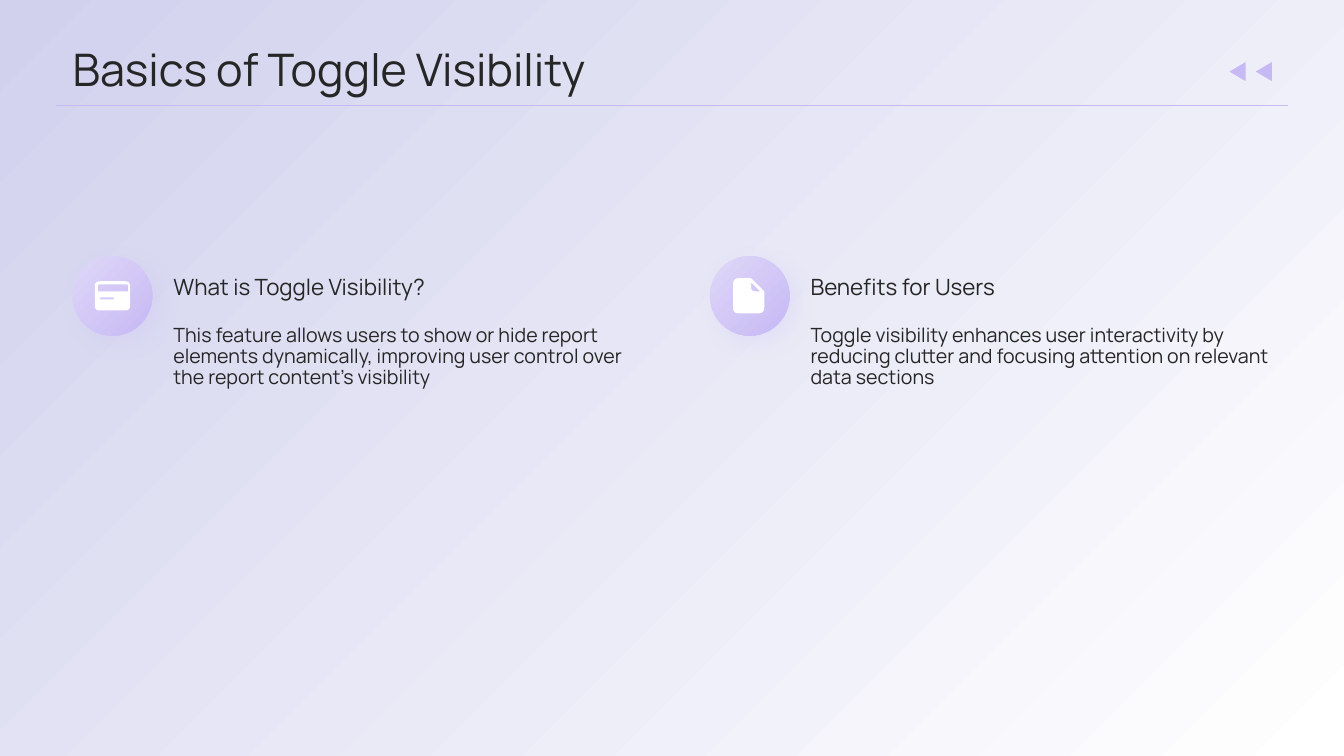
from lxml import etree
from pptx import Presentation
from pptx.dml.color import RGBColor
from pptx.enum.shapes import MSO_CONNECTOR, MSO_SHAPE
from pptx.enum.text import MSO_ANCHOR, MSO_AUTO_SIZE, PP_ALIGN
from pptx.oxml import parse_xml
from pptx.oxml.ns import nsdecls, qn
from pptx.util import Inches, Pt

STRAIGHT = MSO_CONNECTOR.STRAIGHT
RECTANGLE, OVAL, TRIANGLE = MSO_SHAPE.RECTANGLE, MSO_SHAPE.OVAL, MSO_SHAPE.ISOSCELES_TRIANGLE
TOP, MIDDLE = MSO_ANCHOR.TOP, MSO_ANCHOR.MIDDLE
NO_AUTOFIT, LEFT = MSO_AUTO_SIZE.NONE, PP_ALIGN.LEFT

FONT = "Manrope"
INK, WHITE, LAVENDER = "262626", "FFFFFF", "C7B9F4"
PALE_LAVENDER, PERIWINKLE = "DDD5F8", "D1D1EE"
UNITS_PER_INCH = 1000
SLIDE_WIDTH, SLIDE_HEIGHT = 13.33, 7.5

CARD_ICON = [
    [(0, 0, 0.05), (0.35, 0, 0.05), (0.35, 0.29, 0.05), (0, 0.29, 0.05)],
    [(0.03, 0.1, 0), (0.33, 0.1, 0), (0.33, 0.03, 0.02), (0.03, 0.03, 0.02)],
    [(0.05, 0.18, 0.01), (0.19, 0.18, 0.01), (0.19, 0.16, 0.01), (0.05, 0.16, 0.01)],
]
PAGE_ICON = [
    [(0, 0, 0.06), (0.18, 0, 0.01), (0.31, 0.13, 0.01), (0.31, 0.35, 0.06), (0, 0.35, 0.06)],
    [(0.18, 0.04, 0), (0.18, 0.13, 0.04), (0.27, 0.13, 0)],
]
TOPICS = [
    ("What is Toggle Visibility?",
     "This feature allows users to show or hide report elements dynamically, "
     "improving user control over the report content's visibility",
     CARD_ICON, (0.22, 0.25)),
    ("Benefits for Users",
     "Toggle visibility enhances user interactivity by reducing clutter "
     "and focusing attention on relevant data sections",
     PAGE_ICON, (0.23, 0.22)),
]


def color(hex_string):
    """Turn a hex string into a colour."""
    return RGBColor.from_string(hex_string)


def add_plain_shape(slide, kind, left, top, width, height, fill=None):
    """Add a shape without outline or shadow."""
    shape = slide.shapes.add_shape(kind, Inches(left), Inches(top), Inches(width), Inches(height))
    shape.shadow.inherit = False
    shape.line.fill.background()
    if fill:
        shape.fill.solid()
        shape.fill.fore_color.rgb = color(fill)
    return shape


def fill_diagonal(shape, stops):
    """Fill a shape with a gradient running from top left to bottom right."""
    shape.fill.gradient()
    shape.fill.gradient_angle = 315
    for stop, (position, hex_string) in zip(shape.fill.gradient_stops, stops):
        stop.position = position
        stop.color.rgb = color(hex_string)


def add_glow(shape):
    """Give a shape a soft lavender shadow."""
    effects = shape.element.spPr.find(qn("a:effectLst"))
    effects.append(parse_xml(
        f'<a:outerShdw {nsdecls("a")} blurRad="{Pt(15)}" dist="{Pt(8)}" dir="2700000" '
        f'algn="tl" rotWithShape="0"><a:srgbClr val="{LAVENDER}">'
        '<a:alpha val="20000"/></a:srgbClr></a:outerShdw>'))


def write_text(shape, text, size, anchor):
    """Write one left-aligned run into a shape without margins."""
    frame = shape.text_frame
    frame.word_wrap = True
    frame.auto_size = NO_AUTOFIT
    frame.vertical_anchor = anchor
    frame.margin_left = frame.margin_right = frame.margin_top = frame.margin_bottom = 0
    paragraph = frame.paragraphs[0]
    paragraph.alignment = LEFT
    paragraph.line_spacing = 0.9
    paragraph.space_before = Pt(0)
    run = paragraph.add_run()
    run.text = text
    run.font.name = FONT
    run.font.size = Pt(size)
    run.font.color.rgb = color(INK)


def add_text(slide, left, top, width, height, text, size, anchor):
    """Add a text box."""
    box = slide.shapes.add_textbox(Inches(left), Inches(top), Inches(width), Inches(height))
    write_text(box, text, size, anchor)


def round_corners(corners, steps=6):
    """Return the outline through corners given as x, y and radius."""
    points = []
    for index, (x, y, radius) in enumerate(corners):
        if not radius:
            points.append((x, y))
            continue
        ends = []
        for other_x, other_y, _ in (corners[index - 1], corners[(index + 1) % len(corners)]):
            length = ((other_x - x) ** 2 + (other_y - y) ** 2) ** 0.5
            ends.append((x + (other_x - x) * radius / length, y + (other_y - y) * radius / length))
        (start_x, start_y), (end_x, end_y) = ends
        for step in range(steps + 1):
            t = step / steps
            before, middle, after = (1 - t) ** 2, 2 * t * (1 - t), t ** 2
            points.append((before * start_x + middle * x + after * end_x,
                           before * start_y + middle * y + after * end_y))
    return points


def add_icon(slide, left, top, outlines):
    """Draw a white icon whose inner outlines are holes."""
    contours = [[((left + x) * UNITS_PER_INCH, (top + y) * UNITS_PER_INCH)
                 for x, y in round_corners(outline)] for outline in outlines]
    builder = slide.shapes.build_freeform(*contours[0][0], scale=Inches(1) / UNITS_PER_INCH)
    builder.add_line_segments(contours[0][1:])
    for contour in contours[1:]:
        builder.move_to(*contour[0])
        builder.add_line_segments(contour[1:])
    icon = builder.convert_to_shape()
    icon.shadow.inherit = False
    icon.fill.solid()
    icon.fill.fore_color.rgb = color(WHITE)
    icon.line.fill.background()


def add_background(slide):
    """Lay a diagonal gradient behind the title."""
    backdrop = add_plain_shape(slide, RECTANGLE, 0, 0, SLIDE_WIDTH, SLIDE_HEIGHT)
    fill_diagonal(backdrop, [(0, PERIWINKLE), (1, WHITE)])
    slide.shapes.title.element.addprevious(backdrop.element)


def add_header(slide, left, top, width, height):
    """Place the title, the rule below it and the two arrows."""
    title = slide.shapes.title
    title.left, title.top = Inches(left), Inches(top)
    title.width, title.height = Inches(width), Inches(height)
    write_text(title, "Basics of Toggle Visibility", 32, MIDDLE)
    rule_y = Inches(top + height + 0.08)
    rule = slide.shapes.add_connector(
        STRAIGHT, Inches(left - 0.16), rule_y, Inches(left + width + 0.17), rule_y)
    rule.line.color.rgb = color(LAVENDER)
    rule.line.width = Pt(0.75)
    etree.SubElement(rule.element.spPr, qn("a:effectLst"))
    for offset in (0.42, 0.16):
        arrow = add_plain_shape(
            slide, TRIANGLE, left + width - offset, top + 0.17, 0.19, 0.16, LAVENDER)
        arrow.rotation = 270


def add_topic(slide, left, top, width, height, heading, body, outlines, icon_offset):
    """Place a round icon beside a heading and its text."""
    disc = add_plain_shape(slide, OVAL, left, top + 0.04, 0.79, 0.79)
    fill_diagonal(disc, [(0.06, PALE_LAVENDER), (1, LAVENDER)])
    add_glow(disc)
    add_icon(slide, left + icon_offset[0], top + 0.04 + icon_offset[1], outlines)
    text_left, text_width = left + 1, width - 1
    add_text(slide, text_left, top, text_width, 0.71, heading, 16, MIDDLE)
    add_text(slide, text_left, top + 0.73, text_width, height - 0.73, body, 14, TOP)


def main():
    """Build and save the slide."""
    presentation = Presentation()
    presentation.slide_width = Inches(SLIDE_WIDTH)
    presentation.slide_height = Inches(SLIDE_HEIGHT)
    slide = presentation.slides.add_slide(presentation.slide_layouts[5])
    add_background(slide)
    add_header(slide, 0.72, 0.46, 11.88, 0.51)
    for column, topic in enumerate(TOPICS):
        add_topic(slide, 0.72 + column * 6.32, 2.5, 5.57, 2.96, *topic)
    presentation.save("out.pptx")


if __name__ == "__main__":
    main()
